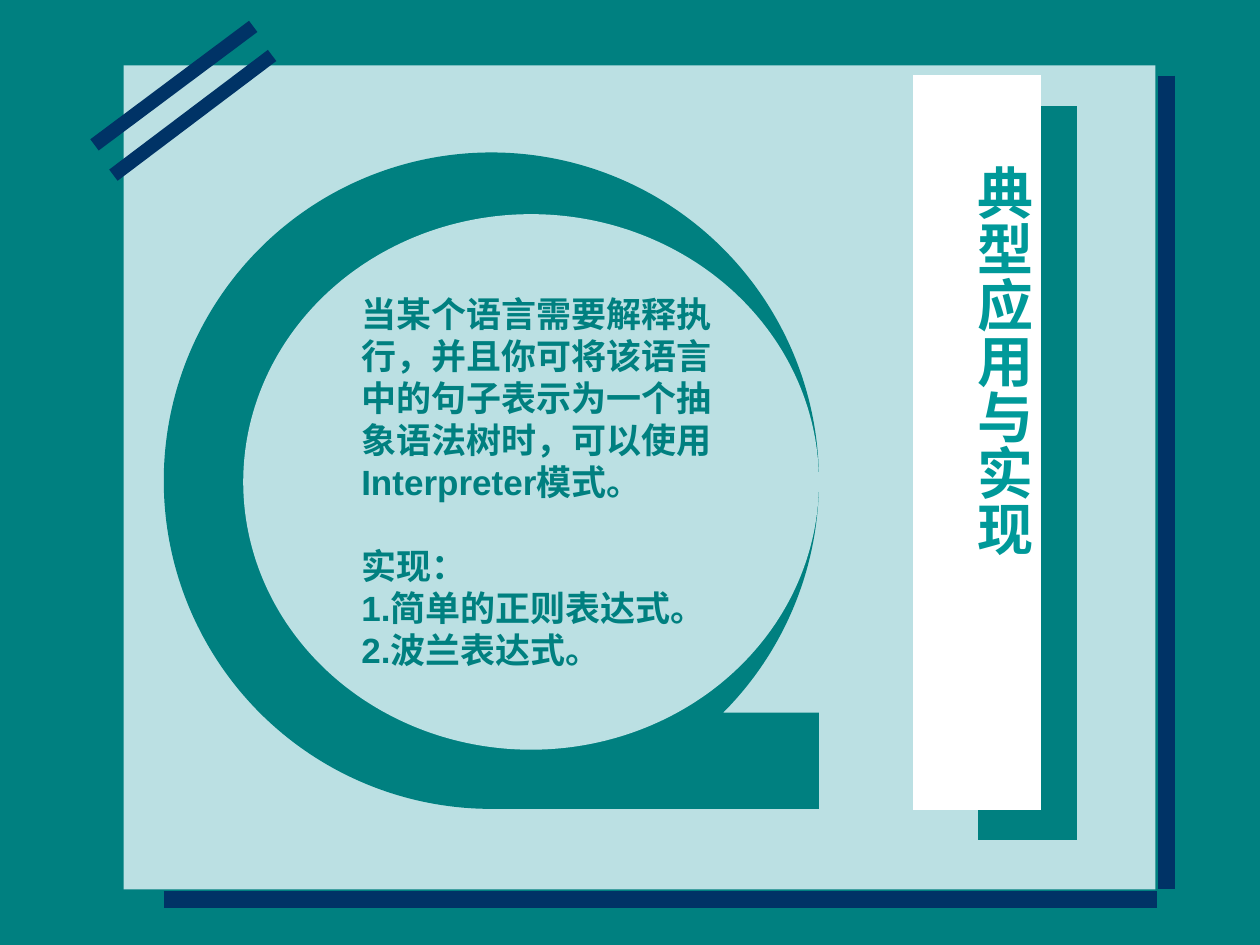
from lxml import etree
from pptx import Presentation
from pptx.dml.color import RGBColor
from pptx.enum.shapes import MSO_CONNECTOR as CONN, MSO_SHAPE as SHAPE
from pptx.enum.text import MSO_ANCHOR as ANCHOR, MSO_AUTO_SIZE as AUTO, PP_ALIGN as ALIGN
from pptx.oxml.ns import qn
from pptx.util import Pt

TEAL = RGBColor(0x00, 0x80, 0x80)
BRIGHT_TEAL = RGBColor(0x00, 0x99, 0x99)
PALE = RGBColor(0xBB, 0xE0, 0xE3)
NAVY = RGBColor(0x00, 0x33, 0x66)
WHITE = RGBColor(0xFF, 0xFF, 0xFF)

TITLE = "典型应用与实现"
BODY = [
    ("当某个语言需要解释执行，并且你可将该语言中的句子表示为一个抽象语法树时，可以使用Interpreter模式。", 0),
    ("实现：", 24),
    ("1.简单的正则表达式。", 0),
    ("2.波兰表达式。", 0),
]


def set_all(obj, values):
    for name, value in values.items():
        setattr(obj, name, value)


def add_block(s, kind, box, color, rotation=0):
    sp = s.shapes.add_shape(kind, *map(Pt, box))
    sp.shadow.inherit = False
    sp.fill.solid()
    sp.fill.fore_color.rgb = color
    sp.line.fill.background()
    sp.rotation = rotation


def add_bar(s, ends, width):
    line = s.shapes.add_connector(CONN.STRAIGHT, *map(Pt, ends))
    line.line.color.rgb = NAVY
    line.line.width = Pt(width)
    etree.SubElement(line.element.spPr, qn("a:effectLst"))


def format_frame(tf, side, end):
    set_all(tf, {
        "word_wrap": True, "auto_size": AUTO.NONE, "vertical_anchor": ANCHOR.TOP,
        "margin_left": Pt(side), "margin_right": Pt(side),
        "margin_top": Pt(end), "margin_bottom": Pt(end),
    })


def add_run(p, text, size, color):
    r = p.add_run()
    r.text = text
    set_all(r.font, {"name": "Arial", "size": Pt(size), "bold": True})
    r.font.color.rgb = color


def add_body(s, box):
    tf = s.shapes.add_textbox(*map(Pt, box)).text_frame
    format_frame(tf, 7.2, 3.6)
    for i, (text, gap) in enumerate(BODY):
        p = tf.add_paragraph() if i else tf.paragraphs[0]
        p.space_before = Pt(gap)
        add_run(p, text, 20, TEAL)


def place_title(s, box):
    sp = s.shapes.title
    set_all(sp, dict(zip(("left", "top", "width", "height"), map(Pt, box))))
    tf = sp.text_frame
    format_frame(tf, 3.6, 7.2)
    sp.element.txBody.find(qn("a:bodyPr")).set("vert", "eaVert")
    p = tf.paragraphs[0]
    p.alignment = ALIGN.CENTER
    add_run(p, TITLE, 32, BRIGHT_TEAL)
    sp.element.getparent().append(sp.element)


def main():
    prs = Presentation()
    set_all(prs, {"slide_width": Pt(720), "slide_height": Pt(540)})
    s = prs.slides.add_slide(prs.slide_layouts[5])
    s.background.fill.solid()
    s.background.fill.fore_color.rgb = TEAL

    add_block(s, SHAPE.RECTANGLE, (70.6, 37.4, 589.7, 470.9), PALE)
    for ends, width in (
        ((155.5, 31.7, 64.8, 100.1), 8),
        ((144.7, 15.1, 54, 82.8), 8),
        ((93.6, 514.1, 661, 514.1), 10),
        ((666.7, 43.2, 666.7, 508.3), 10),
    ):
        add_bar(s, ends, width)

    add_block(s, SHAPE.FLOWCHART_PROCESS, (377.3, 241.9, 419.8, 56.9), TEAL, 270)
    add_block(s, SHAPE.FLOWCHART_PROCESS, (348.5, 216, 419.8, 73.4), WHITE, 270)
    add_block(s, SHAPE.FLOWCHART_SEQUENTIAL_ACCESS_STORAGE, (93.6, 87.1, 374.4, 375.1), TEAL)
    add_block(s, SHAPE.OVAL, (139, 122.4, 329, 306), PALE)
    add_body(s, (199.4, 163.4, 228.2, 223.2))
    place_title(s, (543.6, 87.1, 52.6, 319))
    prs.save("out.pptx")


if __name__ == "__main__":
    main()
